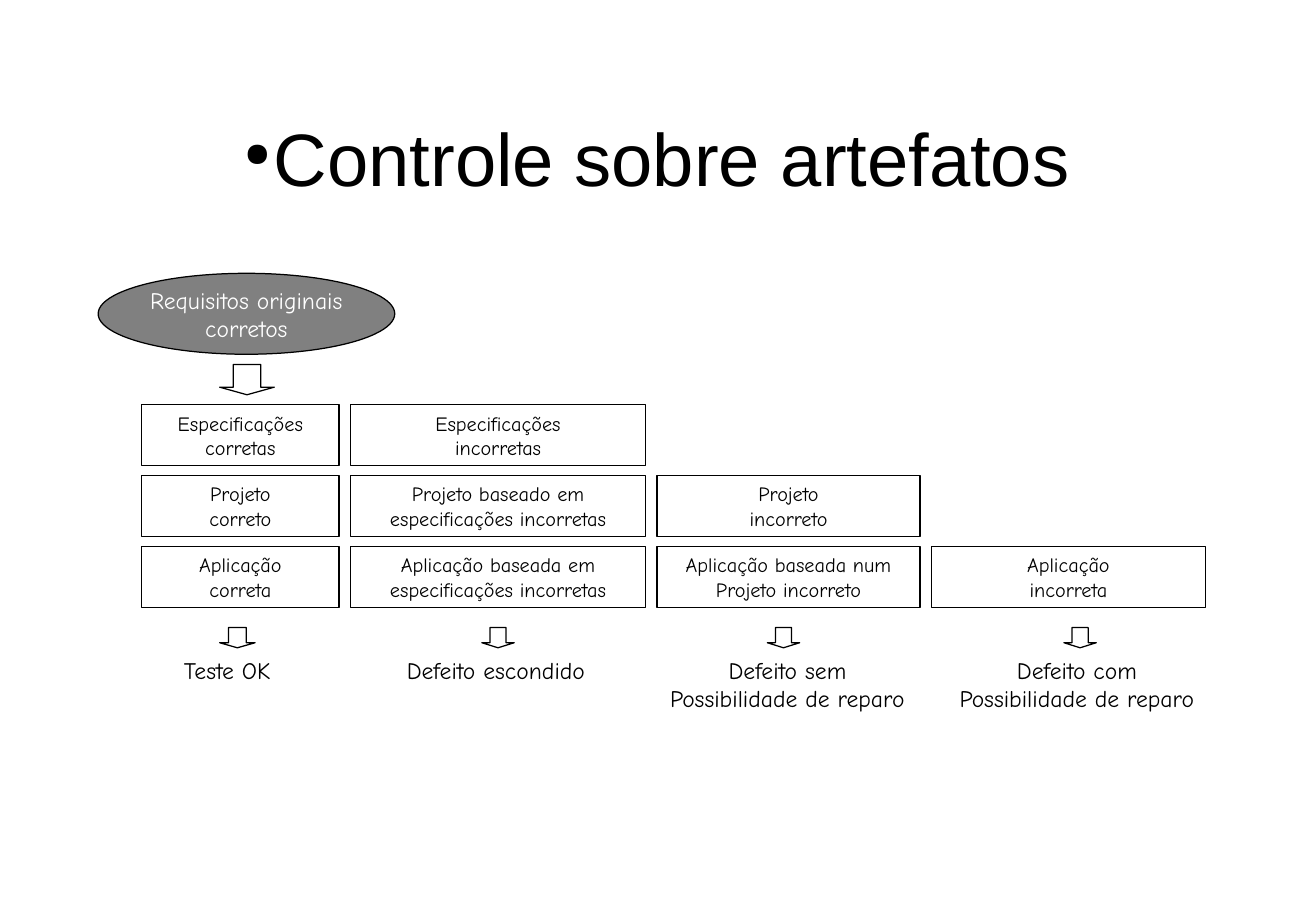
"""Build the slide on control over software artefacts."""
import lxml.etree
import pptx
import pptx.dml.color
import pptx.enum.shapes
import pptx.enum.text
import pptx.oxml.ns
import pptx.util

EMU_PER_PX = 7620
BLACK = pptx.dml.color.RGBColor(0x00, 0x00, 0x00)
WHITE = pptx.dml.color.RGBColor(0xFF, 0xFF, 0xFF)
GRAY = pptx.dml.color.RGBColor(0x80, 0x80, 0x80)
SHAPES = pptx.enum.shapes.MSO_SHAPE
ALIGN = pptx.enum.text.PP_ALIGN
ANCHOR = pptx.enum.text.MSO_ANCHOR

GRID_LEFT, GRID_TOP = 140, 400
COLUMN_WIDTHS = (195, 292, 260, 271)
COLUMN_GAP, ROW_PITCH, BOX_HEIGHT = 11, 70, 60
STAGES = (
    ("Especificações\ncorretas", "Especificações\nincorretas"),
    ("Projeto\ncorreto", "Projeto baseado em\nespecificações incorretas",
     "Projeto\nincorreto"),
    ("Aplicação\ncorreta", "Aplicação baseada em\nespecificações incorretas",
     "Aplicação baseada num\nProjeto incorreto", "Aplicação\nincorreta"),
)
OUTCOMES = (
    ("Teste OK", 217, 35, 170, 127, ALIGN.LEFT),
    ("Defeito escondido", 476, 32, 379, 222, ALIGN.CENTER),
    ("Defeito sem\nPossibilidade de reparo", 758, 32, 640, 276, ALIGN.CENTER),
    ("Defeito com\nPossibilidade de reparo", 1051, 32, 926, 276, ALIGN.CENTER),
)


def px(*lengths):
    """Turn pixel lengths into EMU."""
    return [pptx.util.Emu(length * EMU_PER_PX) for length in lengths]


def write_text(shape, text, size=14, font="Comic Neue", color=BLACK,
               align=ALIGN.CENTER, anchor=ANCHOR.TOP, wrap=False):
    """Write one paragraph per line of text in the given format."""
    frame = shape.text_frame
    frame.text = text
    frame.word_wrap = wrap
    frame.vertical_anchor = anchor
    for paragraph in frame.paragraphs:
        paragraph.alignment = align
        paragraph.font.size = pptx.util.Pt(size)
        paragraph.font.name = font
        paragraph.font.color.rgb = color


def add_outlined(slide, kind, bounds, fill=None):
    """Add a preset shape with a thin black outline."""
    shape = slide.shapes.add_shape(kind, *px(*bounds))
    shape.shadow.inherit = False
    if fill is None:
        shape.fill.background()
    else:
        shape.fill.solid()
        shape.fill.fore_color.rgb = fill
    shape.line.color.rgb = BLACK
    shape.line.width = pptx.util.Pt(0.75)
    return shape


def add_arrow(slide, *bounds):
    """Add a down arrow with a short, wide head."""
    arrow = add_outlined(slide, SHAPES.DOWN_ARROW, bounds)
    arrow.adjustments[0] = 0.5
    arrow.adjustments[1] = 0.25


def add_bullet(paragraph):
    """Give a paragraph a small black bullet with a hanging indent."""
    qn = pptx.oxml.ns.qn
    properties = paragraph._p.get_or_add_pPr()
    indent = px(29)[0]
    properties.set("marL", str(indent))
    properties.set("indent", str(-indent))
    bullet_color = lxml.etree.SubElement(properties, qn("a:buClr"))
    lxml.etree.SubElement(bullet_color, qn("a:srgbClr"), val=str(BLACK))
    lxml.etree.SubElement(properties, qn("a:buSzPct"), val="45000")
    lxml.etree.SubElement(properties, qn("a:buChar"), char="●")


def add_title(slide):
    """Add the bulleted heading."""
    heading = slide.shapes.add_textbox(*px(97, 80, 1105, 150))
    write_text(heading, "Controle sobre artefatos", size=44, font="Arial",
               anchor=ANCHOR.MIDDLE, wrap=True)
    add_bullet(heading.text_frame.paragraphs[0])


def add_requirements(slide):
    """Add the starting requirements and the arrow below them."""
    requirements = add_outlined(slide, SHAPES.OVAL, (97, 270, 293, 80), GRAY)
    write_text(requirements, "Requisitos originais\ncorretos", color=WHITE,
               anchor=ANCHOR.MIDDLE)
    add_arrow(slide, 217, 360, 54, 30)


def add_stages(slide):
    """Add the stepped grid of artefact boxes."""
    for row, artefacts in enumerate(STAGES):
        left, top = GRID_LEFT, GRID_TOP + row * ROW_PITCH
        for artefact, width in zip(artefacts, COLUMN_WIDTHS):
            box = add_outlined(slide, SHAPES.RECTANGLE,
                               (left, top, width, BOX_HEIGHT))
            write_text(box, artefact, size=12, wrap=True)
            left += width + COLUMN_GAP


def add_outcomes(slide):
    """Add the test outcome under each column."""
    for text, arrow_left, arrow_width, left, width, align in OUTCOMES:
        add_arrow(slide, arrow_left, 620, arrow_width, 20)
        height = 41 + 27 * text.count("\n")
        outcome = slide.shapes.add_textbox(*px(left, 642, width, height))
        write_text(outcome, text, align=align)


def main():
    """Build and save the slide."""
    deck = pptx.Presentation()
    deck.slide_width, deck.slide_height = px(1300, 900)
    slide = deck.slides.add_slide(deck.slide_layouts[6])
    add_title(slide)
    add_requirements(slide)
    add_stages(slide)
    add_outcomes(slide)
    deck.save("out.pptx")


if __name__ == "__main__":
    main()
